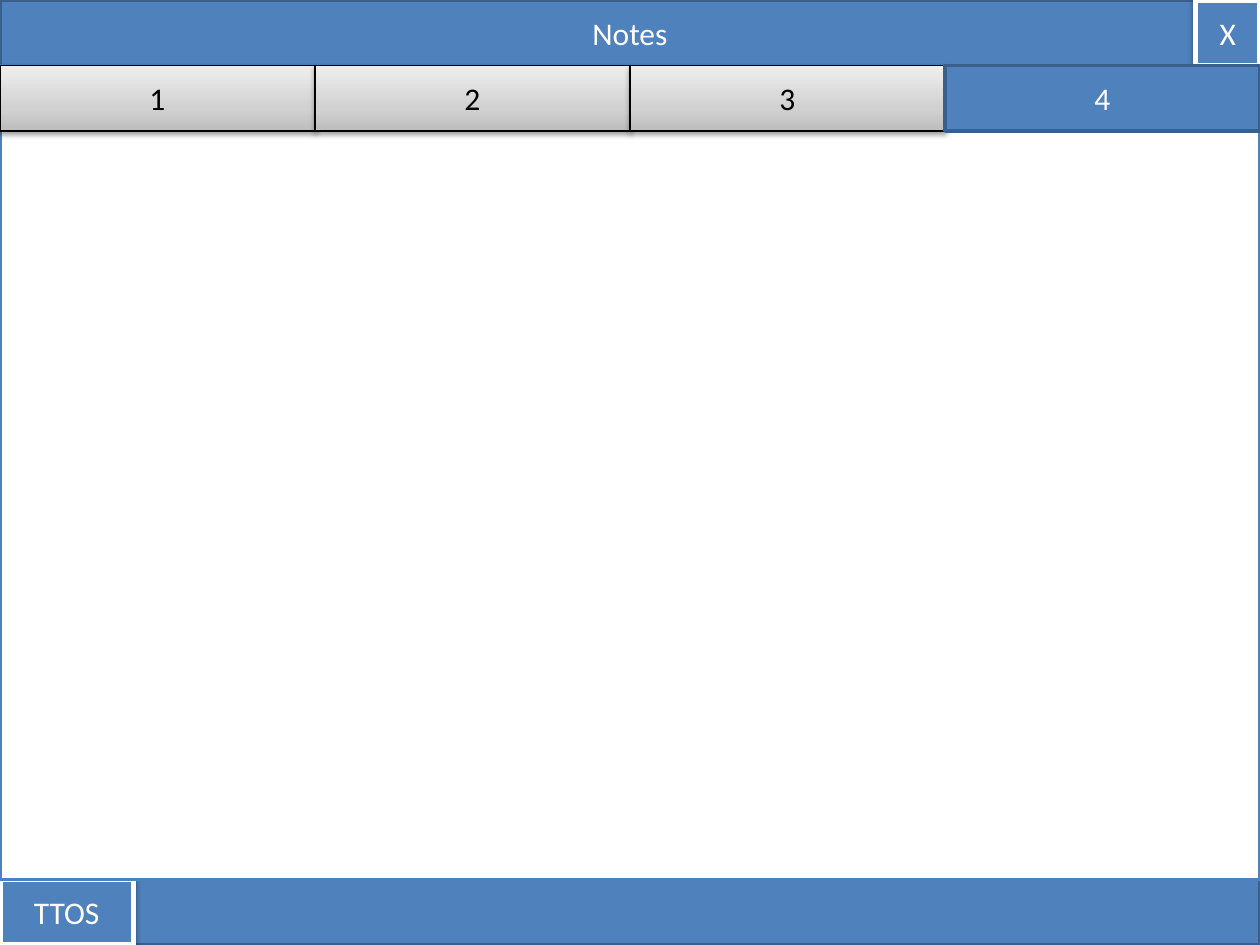
from copy import deepcopy

from pptx import Presentation
from pptx.dml.color import RGBColor
from pptx.enum import shapes, text
from pptx.oxml import parse_xml
from pptx.oxml.ns import nsdecls, qn
from pptx.util import Inches, Pt

COLORS = {
    "blue": "4F81BD",
    "edge": "3A5F8C",
    "white": "FFFFFF",
    "black": "000000",
}
TAB_STOPS = [(0, "BDBDBD"), (0.35, "D1D1D1"), (1, "EEEEEE")]
WIDTH, HEIGHT, BAR = 10, 7.5, 0.52
RECT = shapes.MSO_SHAPE.RECTANGLE
BUTTON = shapes.MSO_SHAPE.ACTION_BUTTON_CUSTOM


def rgb(name):
    """Return the palette colour called name."""
    return RGBColor.from_string(COLORS[name])


def add_panel(slide, box, label="", kind=RECT, fill="blue", line="edge", weight=2, ink="white"):
    """Add a filled, outlined panel with an optional centred label."""
    panel = slide.shapes.add_shape(kind, *map(Inches, box))
    panel.shadow.inherit = False
    panel.fill.solid()
    panel.fill.fore_color.rgb = rgb(fill)
    panel.line.color.rgb = rgb(line)
    panel.line.width = Pt(weight)
    if label:
        frame = panel.text_frame
        frame.word_wrap = True
        frame.vertical_anchor = text.MSO_ANCHOR.MIDDLE
        paragraph = frame.paragraphs[0]
        paragraph.alignment = text.PP_ALIGN.CENTER
        run = paragraph.add_run()
        run.text = label
        run.font.name = "Calibri"
        run.font.size = Pt(18)
        run.font.color.rgb = rgb(ink)
    return panel


def add_shadow(panel):
    """Give a panel a soft shadow straight below it."""
    effects = panel._element.spPr.find(qn("a:effectLst"))
    effects.append(parse_xml(
        f'<a:outerShdw {nsdecls("a")} blurRad="40000" dist="20000" dir="5400000" rotWithShape="0">'
        f'<a:srgbClr val="{COLORS["black"]}"><a:alpha val="38000"/></a:srgbClr></a:outerShdw>'
    ))


def add_button(slide, box, label):
    """Add a white-edged action button."""
    add_shadow(add_panel(slide, box, label, kind=BUTTON, line="white", weight=3))


def add_idle_tab(slide, box, label):
    """Add a grey gradient tab that is not selected."""
    tab = add_panel(slide, box, label, line="black", weight=0.75, ink="black")
    tab.fill.gradient()
    tab.fill.gradient_angle = 90
    stop_list = tab._element.spPr.find(qn("a:gradFill")).find(qn("a:gsLst"))
    stop_list.append(deepcopy(stop_list[0]))
    for stop, (position, color) in zip(tab.fill.gradient_stops, TAB_STOPS):
        stop.position = position
        stop.color.rgb = RGBColor.from_string(color)
    add_shadow(tab)


def add_taskbar(slide, left, top, width, height):
    """Add the bottom bar with its start button."""
    add_panel(slide, (left, top, width, height))
    add_button(slide, (left, top, 1.06, height), "TTOS")


def add_window(slide, left, top, width, height):
    """Add the window's title bar, body and close button."""
    close_width = 0.51
    add_panel(slide, (left, top, width, BAR), "Notes")
    add_panel(slide, (left, top + BAR, width, height - BAR), fill="white", line="blue")
    add_button(slide, (left + width - close_width, top, close_width, BAR), "X")


def add_tabs(slide, left, top, width, height, labels, selected):
    """Add a row of equal tabs with one selected."""
    tab_width = width / len(labels)
    for index, label in enumerate(labels):
        add_tab = add_panel if label == selected else add_idle_tab
        add_tab(slide, (left + index * tab_width, top, tab_width, height), label)


def main():
    """Build the notes screen and save it."""
    deck = Presentation()
    deck.slide_width, deck.slide_height = Inches(WIDTH), Inches(HEIGHT)
    slide = deck.slides.add_slide(deck.slide_layouts[6])
    add_taskbar(slide, 0, HEIGHT - BAR, WIDTH, BAR)
    add_window(slide, 0, 0, WIDTH, HEIGHT - BAR)
    add_tabs(slide, 0, BAR, WIDTH, BAR, "1234", selected="4")
    deck.save("out.pptx")


if __name__ == "__main__":
    main()
